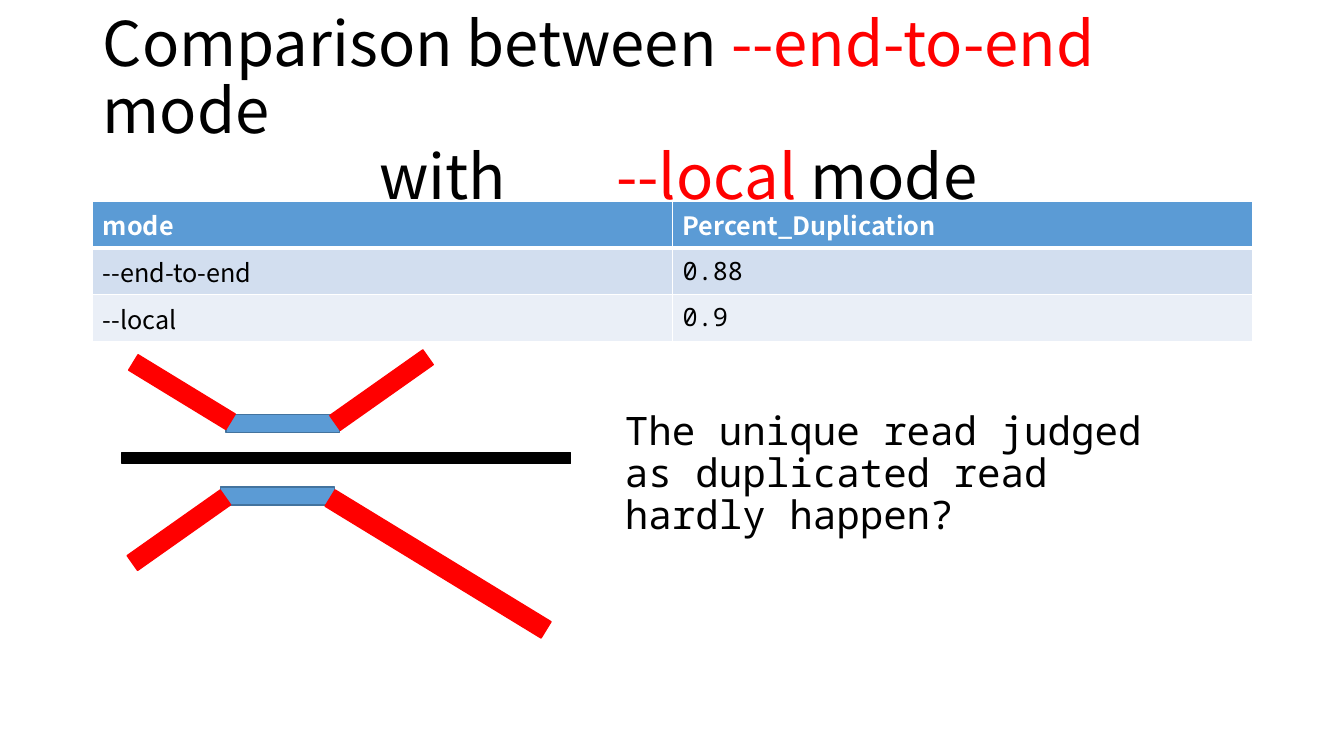
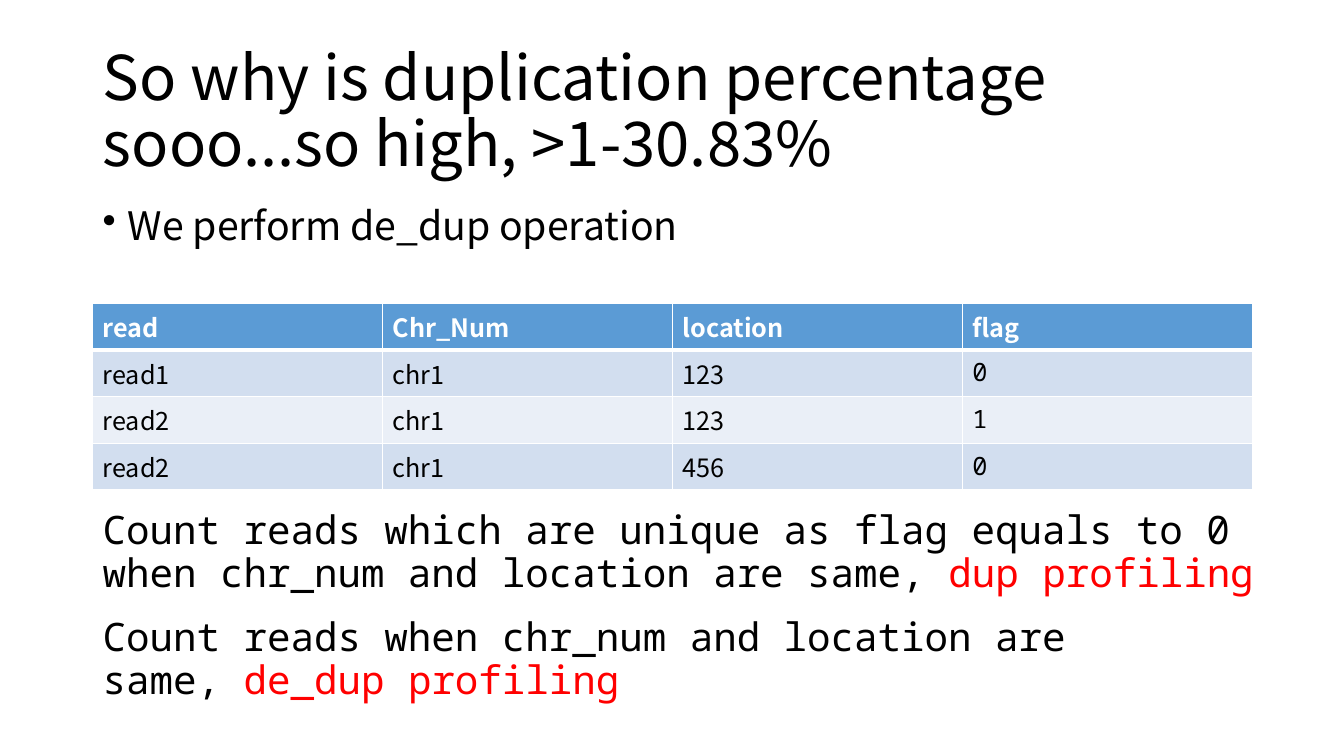
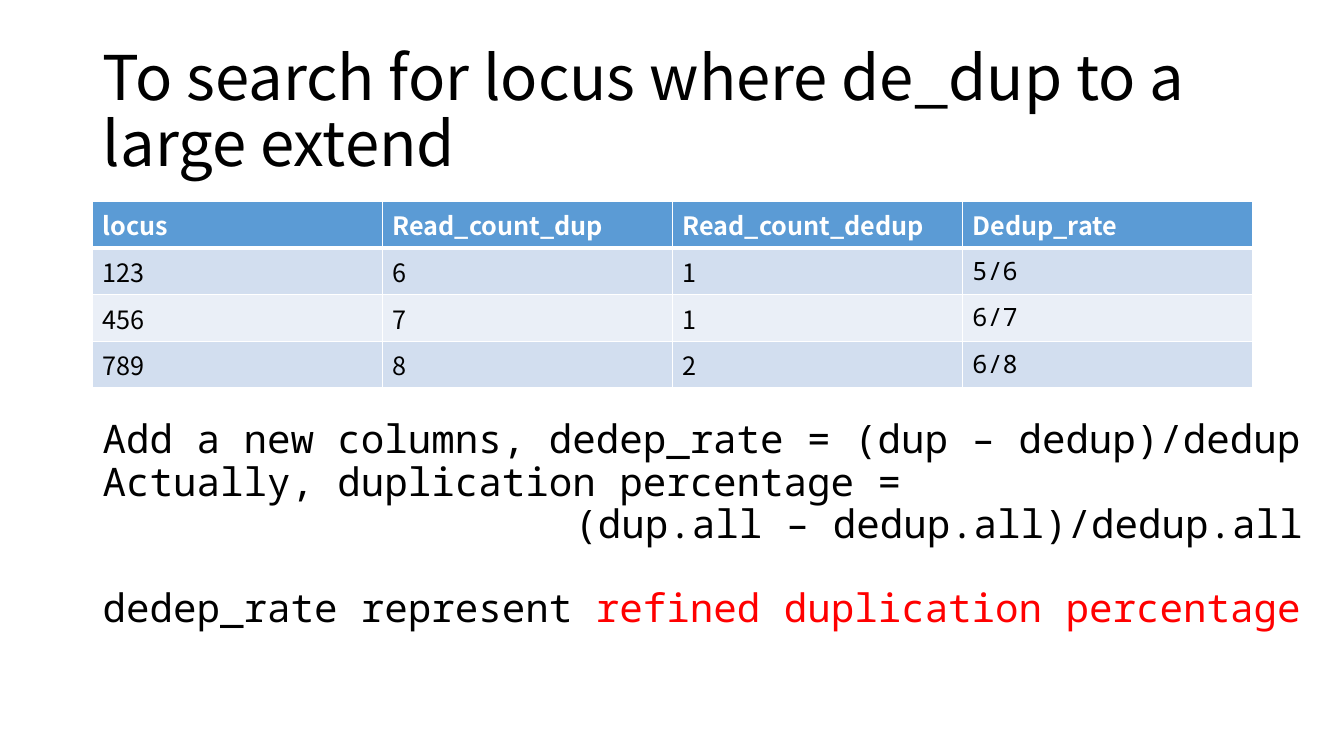
from pptx import Presentation
from pptx.dml.color import RGBColor
from pptx.enum.shapes import MSO_SHAPE
from pptx.enum.text import MSO_ANCHOR, MSO_AUTO_SIZE, PP_ALIGN
from pptx.oxml.ns import qn
from pptx.util import Inches, Pt
from lxml import etree

RECT = MSO_SHAPE.RECTANGLE
MID, TOP = MSO_ANCHOR.MIDDLE, MSO_ANCHOR.TOP
LEFT, FIXED = PP_ALIGN.LEFT, MSO_AUTO_SIZE.NONE

# Shared style
SANS, MONO = "Noto Sans CJK SC", "Noto Sans Mono"
HEX = {"black": "000000", "white": "FFFFFF", "red": "FF0000",
       "blue": "5B9BD5", "edge": "43739E", "odd": "D2DEEF", "even": "EAEFF7"}
EDGE, WIDE = 0.92, 11.5
ROW = 0.41

# Content: a paragraph is a list of runs, a run is (text, colour)
SLIDES = [
    {
        "title": [
            [("Comparison between ", "black"), ("--end-to-end ", "red"), ("mode", "black")],
            [("\twith\t", "black"), ("--local ", "red"), ("mode", "black")],
        ],
        "tabs": (2.74, 5.09),
        "table": (2, [
            ("mode", "Percent_Duplication"),
            ("--end-to-end", "0.88"),
            ("--local", "0.9"),
        ]),
        "texts": [
            {"at": (6.1, 4.1, 5.89, 1.22), "paras": [
                [("The unique read judged as duplicated read hardly happen?", "black")]]},
        ],
        # left, top, width, height, turn, fill, line
        "bars": [
            (2.24, 4.11, 1.13, 0.18, 0, "blue", "edge"),
            (1.21, 4.49, 4.45, 0.11, 0, "black", "black"),
            (3.22, 3.78, 1.13, 0.18, -35.2, "red", "red"),
            (1.24, 3.8, 1.13, 0.18, 31.4, "red", "red"),
            (2.19, 4.83, 1.13, 0.18, 0, "blue", "edge"),
            (1.21, 5.17, 1.13, 0.18, -35.2, "red", "red"),
            (3.09, 5.5, 2.51, 0.19, 31.4, "red", "red"),
        ],
    },
    {
        "title": [[("So why is duplication percentage sooo...so high, >1-30.83%", "black")]],
        "table": (3.01, [
            ("read", "Chr_Num", "location", "flag"),
            ("read1", "chr1", "123", "0"),
            ("read2", "chr1", "123", "1"),
            ("read2", "chr1", "456", "0"),
        ]),
        "texts": [
            {"at": (EDGE, 2, WIDE, 0.8), "face": SANS, "anchor": TOP, "bullet": True,
             "before": {0: 10}, "paras": [[("We perform de_dup operation", "black")]]},
            {"at": (EDGE, 4.88, 12.08, 1.22), "paras": [
                [("Count reads which are unique as flag equals to 0 when chr_num "
                  "and location are same, ", "black"), ("dup profiling", "red")]]},
            {"at": (EDGE, 5.94, 11.08, 1.22), "paras": [
                [("Count reads when chr_num and location are same, ", "black"),
                 ("de_dup profiling", "red")]]},
        ],
    },
    {
        "title": [[("To search for locus where de_dup to a large extend", "black")]],
        "table": (2, [
            ("locus", "Read_count_dup", "Read_count_dedup", "Dedup_rate"),
            ("123", "6", "1", "5/6"),
            ("456", "7", "1", "6/7"),
            ("789", "8", "2", "6/8"),
        ]),
        "texts": [
            {"at": (EDGE, 3.89, 12.3, 2.65), "indent": {2: 4.68}, "before": {3: 30}, "paras": [
                [("Add a new columns, dedep_rate = (dup – dedup)/dedup", "black")],
                [("Actually, duplication percentage =", "black")],
                [("(dup.all – dedup.all)/dedup.all", "black")],
                [("dedep_rate represent ", "black"), ("refined duplication percentage", "red")],
            ]},
        ],
    },
]


def rgb(name):
    return RGBColor.from_string(HEX[name])


def style(para, size, face, bold=False):
    para.font.size, para.font.name, para.font.bold = Pt(size), face, bold
    para.alignment = LEFT


def write(frame, paras, size, face, anchor, before=None):
    """Fill a text frame with coloured runs."""
    frame.word_wrap, frame.auto_size = True, FIXED
    frame.vertical_anchor = anchor
    for i, runs in enumerate(paras):
        para = frame.paragraphs[0] if i == 0 else frame.add_paragraph()
        para.line_spacing = 0.9
        para.space_before = Pt((before or {}).get(i, 0))
        style(para, size, face)
        for text, tint in runs:
            run = para.add_run()
            run.text = text
            run.font.color.rgb = rgb(tint)


def add_tabs(para, stops):
    props = para._p.get_or_add_pPr()
    tabs = etree.Element(qn("a:tabLst"))
    for stop in stops:
        etree.SubElement(tabs, qn("a:tab"), pos=str(Inches(stop)), algn="l")
    props.find(qn("a:defRPr")).addprevious(tabs)


def add_bullet(para):
    props = para._p.get_or_add_pPr()
    props.set("marL", str(Inches(0.25)))
    props.set("indent", str(-Inches(0.25)))
    mark = etree.Element(qn("a:buChar"), char="•")
    props.find(qn("a:defRPr")).addprevious(mark)


def add_title(slide, paras, stops):
    title = slide.shapes.title
    title.left, title.top, title.width, title.height = map(Inches, (EDGE, 0.4, WIDE, 1.45))
    write(title.text_frame, paras, 44, SANS, MID)
    if stops:
        add_tabs(title.text_frame.paragraphs[-1], stops)


def add_text(slide, at, paras, face=MONO, anchor=MID, bullet=False, indent=None, before=None):
    frame = slide.shapes.add_textbox(*map(Inches, at)).text_frame
    write(frame, paras, 28, face, anchor, before)
    if bullet:
        add_bullet(frame.paragraphs[0])
    for i, gap in (indent or {}).items():
        frame.paragraphs[i]._p.get_or_add_pPr().set("marL", str(Inches(gap)))


def add_edges(cell, row):
    """White cell borders, thick under the header."""
    thick = {0: "B", 1: "T"}.get(row)
    for side in "LRTB":
        line = etree.SubElement(cell._tc.get_or_add_tcPr(), qn("a:ln" + side),
                                w=str(Pt(3 if side == thick else 1)))
        fill = etree.SubElement(line, qn("a:solidFill"))
        etree.SubElement(fill, qn("a:srgbClr"), val=HEX["white"])


def add_grid(slide, top, rows):
    count = len(rows[0])
    box = map(Inches, (EDGE, top, WIDE, ROW * len(rows)))
    table = slide.shapes.add_table(len(rows), count, *box).table
    for r, row in enumerate(rows):
        for c, text in enumerate(row):
            cell, head = table.cell(r, c), r == 0
            cell.text = text
            para = cell.text_frame.paragraphs[0]
            style(para, 18, MONO if c == count - 1 and not head else SANS, head)
            para.font.color.rgb = rgb("white" if head else "black")
            add_edges(cell, r)
            cell.fill.solid()
            cell.fill.fore_color.rgb = rgb("blue" if head else "odd" if r % 2 else "even")


def add_bar(slide, left, top, width, height, turn, fill, line):
    bar = slide.shapes.add_shape(RECT, *map(Inches, (left, top, width, height)))
    bar.shadow.inherit = False
    bar.rotation = turn
    bar.fill.solid()
    bar.fill.fore_color.rgb = rgb(fill)
    bar.line.color.rgb = rgb(line)
    bar.line.width = Pt(1)


def main():
    deck = Presentation()
    deck.slide_width, deck.slide_height = Inches(13.33), Inches(7.5)
    for page in SLIDES:
        slide = deck.slides.add_slide(deck.slide_layouts[5])
        add_title(slide, page["title"], page.get("tabs"))
        add_grid(slide, *page["table"])
        for bar in page.get("bars", []):
            add_bar(slide, *bar)
        for text in page["texts"]:
            add_text(slide, **text)
    deck.save("out.pptx")


if __name__ == "__main__":
    main()
